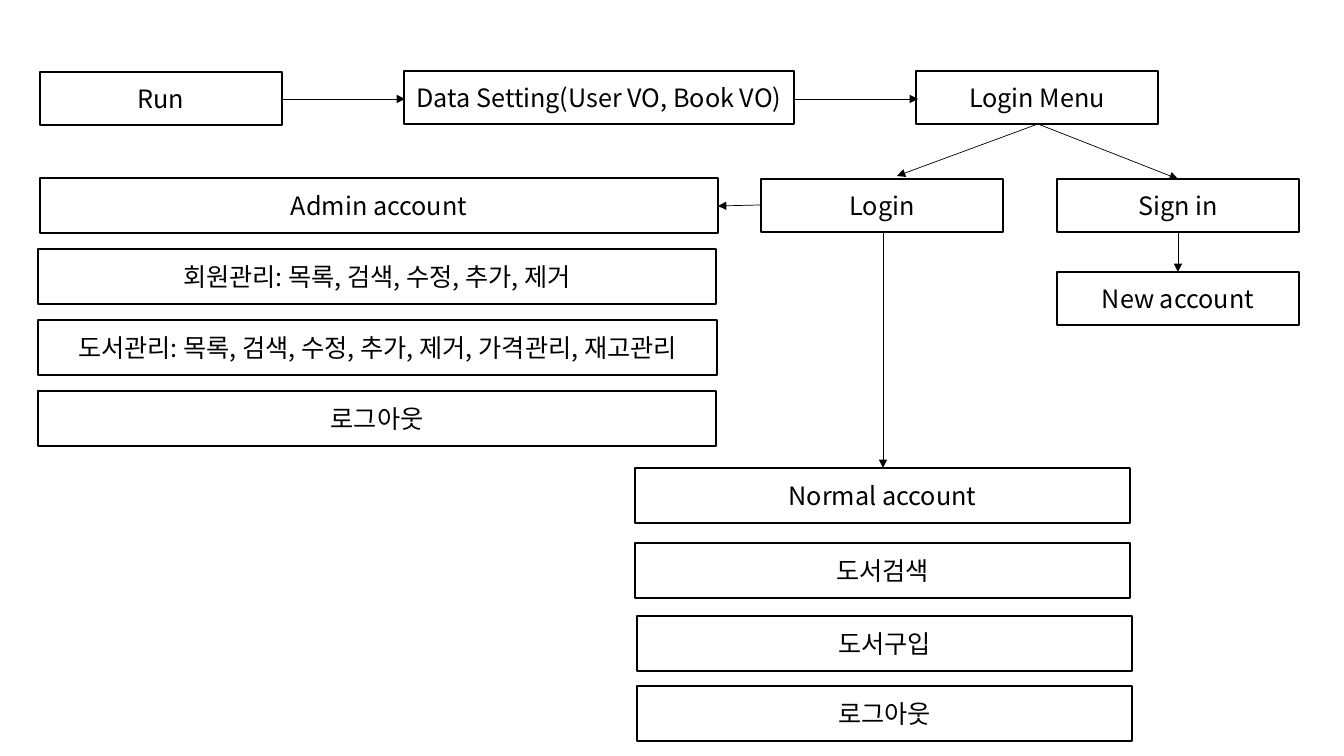
from lxml.etree import SubElement
from pptx import Presentation
from pptx.dml.color import RGBColor
from pptx.enum.shapes import MSO_CONNECTOR as CONNECTOR, MSO_SHAPE as SHAPE
from pptx.enum.text import MSO_ANCHOR as ANCHOR, PP_ALIGN as ALIGN
from pptx.oxml.ns import qn
from pptx.util import Pt

BLACK = RGBColor(0, 0, 0)
WHITE = RGBColor(255, 255, 255)
FONT = "Noto Sans CJK KR"
EMU_PER_PIXEL = 914400 / 100.8

STEP_WIDTH, STEP_HEIGHT = 242, 53
ADMIN_WIDTH, NORMAL_WIDTH, ACCOUNT_HEIGHT = 678, 495, 55

# Text, left, top, width of each step of the start and login flow
STEPS = [
    ("Run", 40, 72, STEP_WIDTH),
    ("Data Setting(User VO, Book VO)", 404, 71, 390),
    ("Login Menu", 916, 71, STEP_WIDTH),
    ("Login", 761, 179, STEP_WIDTH),
    ("Sign in", 1057, 179, STEP_WIDTH),
    ("New account", 1057, 272, STEP_WIDTH),
]

# Account headings and their functions
ACCOUNTS = [
    ("Admin account", 40, 178, ADMIN_WIDTH),
    ("회원관리: 목록, 검색, 수정, 추가, 제거", 38, 249, ADMIN_WIDTH),
    ("도서관리: 목록, 검색, 수정, 추가, 제거, 가격관리, 재고관리", 38, 320, ADMIN_WIDTH + 1),
    ("로그아웃", 38, 391, ADMIN_WIDTH),
    ("Normal account", 635, 468, NORMAL_WIDTH),
    ("도서검색", 635, 543, NORMAL_WIDTH),
    ("도서구입", 637, 616, NORMAL_WIDTH),
    ("로그아웃", 637, 686, NORMAL_WIDTH),
]

# Start and end of each arrow
ARROWS = [
    ((282, 99), (405, 99)),      # Run to Data Setting
    ((795, 99), (918, 99)),      # Data Setting to Login Menu
    ((1038, 124), (1178, 179)),  # Login Menu to Sign in
    ((1038, 124), (897, 176)),   # Login Menu to Login
    ((1178, 233), (1178, 272)),  # Sign in to New account
    ((761, 205), (718, 206)),    # Login to Admin account
    ((883, 233), (883, 468)),    # Login to Normal account
]


def px(pixels):
    return round(pixels * EMU_PER_PIXEL)


def add_box(slide, text, left, top, width, height):
    box = slide.shapes.add_shape(SHAPE.RECTANGLE, px(left), px(top), px(width), px(height))
    box.shadow.inherit = False
    box.fill.solid()
    box.fill.fore_color.rgb = WHITE
    box.line.color.rgb = BLACK
    box.line.width = Pt(1)

    text_frame = box.text_frame
    text_frame.text = text
    text_frame.word_wrap = True
    text_frame.vertical_anchor = ANCHOR.MIDDLE
    paragraph = text_frame.paragraphs[0]
    paragraph.alignment = ALIGN.CENTER
    run = paragraph.runs[0]
    run.font.size = Pt(18)
    run.font.name = FONT
    run.font.color.rgb = BLACK
    # Hangul takes its font from the East Asian setting
    SubElement(run.font._element, qn("a:ea"), typeface=FONT)


def add_arrow(slide, start, end):
    points = [px(value) for value in (*start, *end)]
    arrow = slide.shapes.add_connector(CONNECTOR.STRAIGHT, *points)
    arrow.line.color.rgb = BLACK
    arrow.line.width = Pt(0.5)
    SubElement(arrow.line._get_or_add_ln(), qn("a:tailEnd"), type="triangle")
    SubElement(arrow._element.spPr, qn("a:effectLst"))


def main():
    presentation = Presentation()
    presentation.slide_width = px(1344)
    presentation.slide_height = px(756)
    slide = presentation.slides.add_slide(presentation.slide_layouts[6])

    for step in STEPS:
        add_box(slide, *step, STEP_HEIGHT)
    for account in ACCOUNTS:
        add_box(slide, *account, ACCOUNT_HEIGHT)
    for start, end in ARROWS:
        add_arrow(slide, start, end)

    presentation.save("out.pptx")


main()
